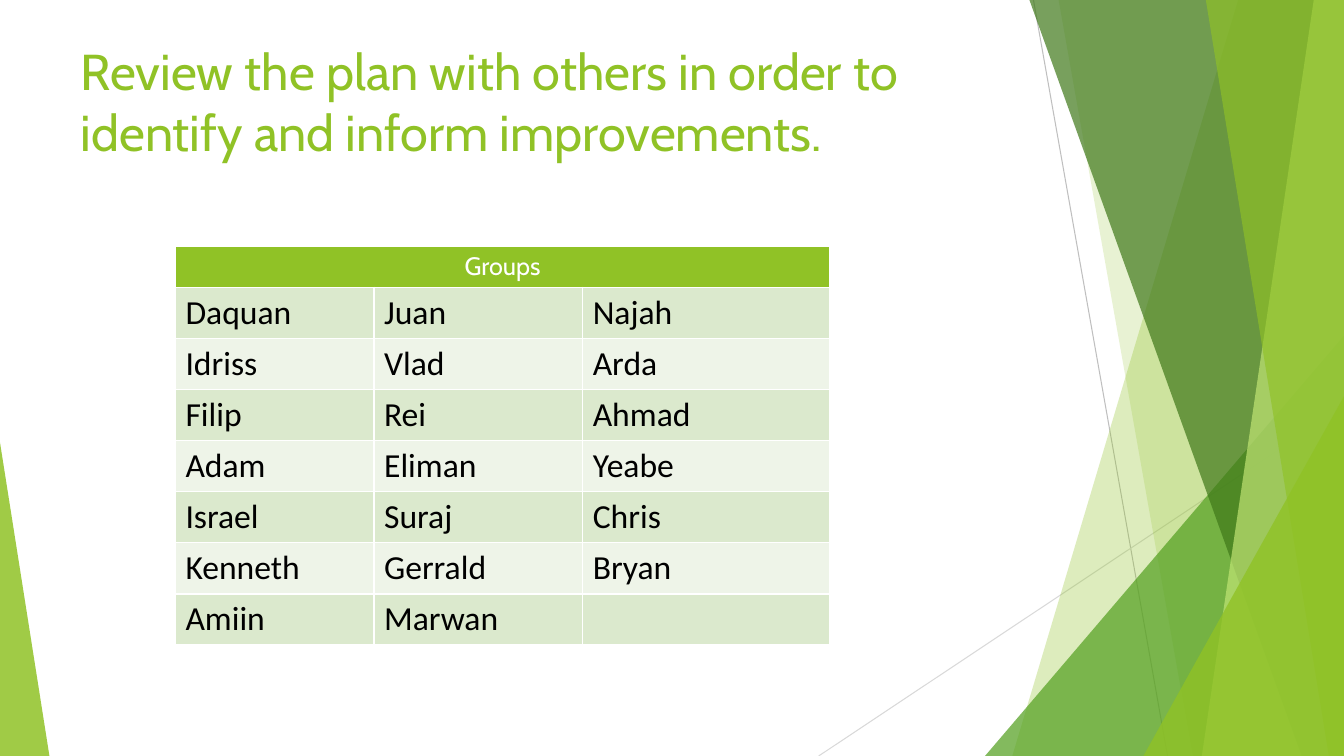
from lxml.etree import SubElement
from pptx import Presentation
from pptx.dml.color import RGBColor
from pptx.enum.shapes import MSO_CONNECTOR as Connector, MSO_SHAPE as Shape
from pptx.enum.text import MSO_ANCHOR as Anchor, PP_ALIGN as Align
from pptx.oxml.ns import qn
from pptx.util import Inches, Pt

WIDTH, HEIGHT = 13.33, 7.5
GREEN, WHITE = "90C226", "FFFFFF"
BANDS = ("DBE9CD", "EEF4E8")
COLUMN_WIDTHS = (1.97, 2.07, 2.45)
HEADER_HEIGHT, ROW_HEIGHT = 0.41, 0.5
GROUPS = [
    ("Daquan", "Juan", "Najah"),
    ("Idriss", "Vlad", "Arda"),
    ("Filip", "Rei", "Ahmad"),
    ("Adam", "Eliman", "Yeabe"),
    ("Israel", "Suraj", "Chris"),
    ("Kenneth", "Gerrald", "Bryan"),
    ("Amiin", "Marwan", ""),
]


def color(value):
    return RGBColor.from_string(value)


def write_text(frame, text, size, font, fill, align=Align.LEFT):
    paragraph = frame.paragraphs[0]
    paragraph.alignment = align
    run = paragraph.add_run()
    run.text = text
    run.font.size = Pt(size)
    run.font.name = font
    run.font.color.rgb = color(fill)


def paint(shape, fill, opacity):
    """Fill a shape with a see-through colour, without outline or shadow."""
    shape.shadow.inherit = False
    shape.line.fill.background()
    shape.fill.solid()
    shape.fill.fore_color.rgb = color(fill)
    srgb = shape.fill._xPr.find(qn("a:solidFill")).find(qn("a:srgbClr"))
    SubElement(srgb, qn("a:alpha"), val=str(opacity * 1000))


def add_line(slide, start, end, stroke):
    points = [Inches(value) for value in (*start, *end)]
    line = slide.shapes.add_connector(Connector.STRAIGHT, *points)
    line.line.color.rgb = color(stroke)
    line.line.width = Pt(0.75)
    SubElement(line._element.spPr, qn("a:effectLst"))


def add_band(slide, top_x, bottom_x, fill, opacity):
    """Draw a full-height facet from a slanted left side to the slide's right edge."""
    builder = slide.shapes.build_freeform(Inches(top_x), 0)
    corners = [(WIDTH, 0), (WIDTH, HEIGHT), (bottom_x, HEIGHT)]
    builder.add_line_segments([(Inches(x), Inches(y)) for x, y in corners])
    paint(builder.convert_to_shape(), fill, opacity)


def add_corner(slide, left, top, width, apex, fill, opacity):
    """Draw a triangle that stands on the slide's bottom edge."""
    triangle = slide.shapes.add_shape(
        Shape.ISOSCELES_TRIANGLE,
        Inches(left), Inches(top), Inches(width), Inches(HEIGHT - top))
    triangle.adjustments[0] = apex
    paint(triangle, fill, opacity)


def add_facets(slide):
    add_line(slide, (10.25, 0), (11.58, HEIGHT), "BFBFBF")
    add_line(slide, (WIDTH, 4.03), (8.12, HEIGHT), "D9D9D9")
    add_band(slide, 12.28, 10.04, GREEN, 30)
    add_band(slide, 10.5, 11.83, GREEN, 20)
    add_corner(slide, 9.77, 3.33, 3.56, 1, "54A021", 72)
    add_band(slide, 10.21, 12.91, "3F7819", 70)
    add_band(slide, 13.03, 11.92, "C0E474", 70)
    add_band(slide, 11.96, 13.18, GREEN, 65)
    add_corner(slide, 11.34, 3.93, 1.99, 1, GREEN, 80)
    add_corner(slide, 0, 4.39, 0.49, 0, GREEN, 85)


def set_title(slide, text):
    title = slide.shapes.title
    title.left, title.top = Inches(0.7), Inches(0.35)
    title.width, title.height = Inches(9.4), Inches(1.44)
    frame = title.text_frame
    frame.word_wrap = True
    frame.vertical_anchor = Anchor.TOP
    write_text(frame, text, 36, "Cabin", GREEN)
    slide.shapes._spTree.append(title._element)  # bring in front of the facets


def format_cell(cell, fill):
    properties = cell._tc.get_or_add_tcPr()
    for side in ("lnL", "lnR", "lnT", "lnB"):
        border = SubElement(properties, qn("a:" + side), w=str(Pt(1)))
        solid = SubElement(border, qn("a:solidFill"))
        SubElement(solid, qn("a:srgbClr"), val=WHITE)
    cell.fill.solid()
    cell.fill.fore_color.rgb = color(fill)


def add_groups_table(slide):
    height = HEADER_HEIGHT + ROW_HEIGHT * len(GROUPS)
    table = slide.shapes.add_table(
        len(GROUPS) + 1, len(COLUMN_WIDTHS),
        Inches(1.74), Inches(2.44), Inches(sum(COLUMN_WIDTHS)), Inches(height)).table
    for column, width in zip(table.columns, COLUMN_WIDTHS):
        column.width = Inches(width)
    for row in table.rows:
        row.height = Inches(ROW_HEIGHT)
    table.rows[0].height = Inches(HEADER_HEIGHT)

    header = table.cell(0, 0)
    header.merge(table.cell(0, len(COLUMN_WIDTHS) - 1))
    for cell in table.rows[0].cells:
        format_cell(cell, GREEN)
    write_text(header.text_frame, "Groups", 18, "Cabin", WHITE, align=Align.CENTER)

    for index, names in enumerate(GROUPS):
        for cell, name in zip(table.rows[index + 1].cells, names):
            format_cell(cell, BANDS[index % 2])
            if name:
                write_text(cell.text_frame, name, 24, "Calibri", "000000")


def main():
    presentation = Presentation()
    presentation.slide_width = Inches(WIDTH)
    presentation.slide_height = Inches(HEIGHT)
    slide = presentation.slides.add_slide(presentation.slide_layouts[5])
    add_facets(slide)
    set_title(slide, "Review the plan with others in order to identify and inform improvements.")
    add_groups_table(slide)
    presentation.save("out.pptx")


if __name__ == "__main__":
    main()
